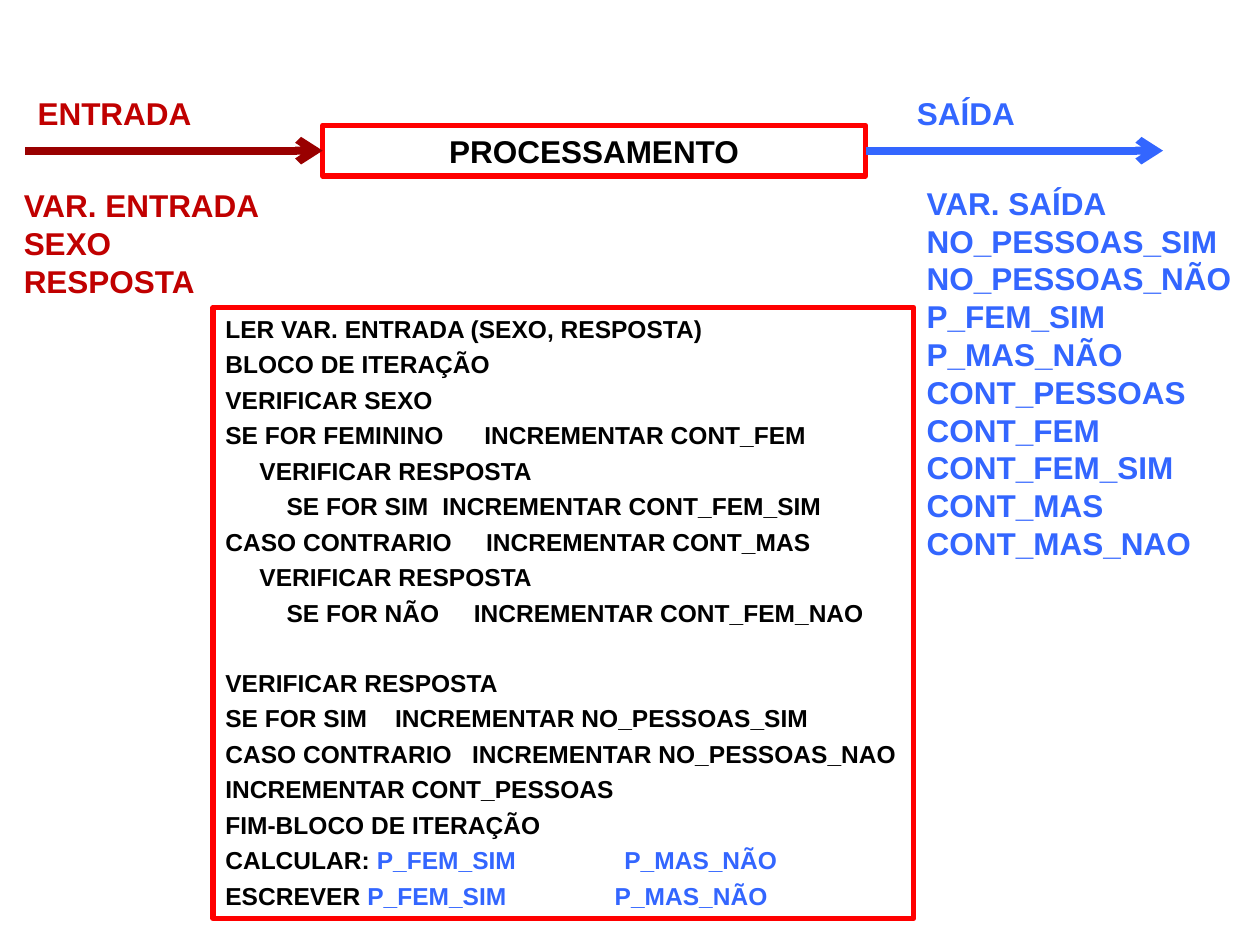
from lxml.etree import SubElement as Sub
from pptx import Presentation
from pptx.dml.color import RGBColor as Rgb
from pptx.enum.shapes import MSO_CONNECTOR as Link, MSO_SHAPE as Kind
from pptx.enum.text import MSO_ANCHOR as Anchor, PP_ALIGN as Align
from pptx.oxml.ns import qn
from pptx.util import Pt

HUES = {"ink": "000000", "edge": "FF0000", "dark": "990000",
        "in": "C00000", "out": "3366FF", "page": "FFFFFF"}

INPUTS = ["VAR. ENTRADA", "SEXO", "RESPOSTA"]
OUTPUTS = ["VAR. SAÍDA", "NO_PESSOAS_SIM", "NO_PESSOAS_NÃO", "P_FEM_SIM",
           "P_MAS_NÃO", "CONT_PESSOAS", "CONT_FEM", "CONT_FEM_SIM",
           "CONT_MAS", "CONT_MAS_NAO"]

RESULTS = ("P_FEM_SIM\tP_MAS_NÃO", "out")
GAP = 3.5
BREAK = 23.1
STEPS = [
    ("LER VAR. ENTRADA (SEXO, RESPOSTA)", [], GAP),
    ("BLOCO DE ITERAÇÃO", [], GAP),
    ("VERIFICAR SEXO", [], GAP),
    ("SE FOR FEMININO\tINCREMENTAR CONT_FEM", [148], GAP),
    ("\tVERIFICAR RESPOSTA", [19.5], GAP),
    ("\tSE FOR SIM\tINCREMENTAR CONT_FEM_SIM", [35, 124], GAP),
    ("CASO CONTRARIO\tINCREMENTAR CONT_MAS", [149], GAP),
    ("\tVERIFICAR RESPOSTA", [19.5], GAP),
    ("\tSE FOR NÃO\tINCREMENTAR CONT_FEM_NAO", [35, 142], GAP),
    ("VERIFICAR RESPOSTA", [], BREAK),
    ("SE FOR SIM\tINCREMENTAR NO_PESSOAS_SIM", [97], GAP),
    ("CASO CONTRARIO\tINCREMENTAR NO_PESSOAS_NAO", [141], GAP),
    ("INCREMENTAR CONT_PESSOAS", [], GAP),
    ("FIM-BLOCO DE ITERAÇÃO", [], GAP),
    ("CALCULAR: ", [228], GAP, RESULTS),
    ("ESCREVER ", [222.5], GAP, RESULTS),
]


def color(key):
    """Return the named colour."""
    return Rgb.from_string(HUES[key])


def write(para, text, size, hue):
    """Add one bold run to a paragraph."""
    run = para.add_run()
    run.text = text
    font = run.font
    font.name, font.size, font.bold = "Arial", Pt(size), True
    font.color.rgb = color(hue)


def lines(frame, count):
    """Yield the given number of paragraphs of a text frame."""
    for i in range(count):
        para = frame.add_paragraph() if i else frame.paragraphs[0]
        para.alignment = Align.LEFT
        yield para


def frame_box(slide, box, hue, width):
    """Add an unfilled rectangle with text at its top."""
    shape = slide.shapes.add_shape(Kind.RECTANGLE, *map(Pt, box))
    shape.shadow.inherit = False
    shape.fill.background()
    shape.line.color.rgb = color(hue)
    shape.line.width = Pt(width)
    shape.text_frame.vertical_anchor = Anchor.TOP
    shape.text_frame.word_wrap = True
    return shape


def title_box(slide, box, text, hue, edge, width, align=Align.LEFT):
    """Add a rectangle with a single heading."""
    shape = frame_box(slide, box, edge, width)
    para = shape.text_frame.paragraphs[0]
    para.alignment = align
    write(para, text, 18, hue)
    return shape


def name_list(slide, box, names, hue, wrap):
    """Add a text box with one variable name a line."""
    frame = slide.shapes.add_textbox(*map(Pt, box)).text_frame
    frame.word_wrap = wrap
    for para, name in zip(lines(frame, len(names)), names):
        write(para, name, 18, hue)


def set_tabs(para, stops):
    """Give a paragraph left tab stops, in points."""
    tabs = Sub(para._p.get_or_add_pPr(), qn("a:tabLst"))
    for stop in stops:
        Sub(tabs, qn("a:tab"), pos=str(int(Pt(stop))), algn="l")


def step_box(slide, box):
    """Add the framed list of processing steps."""
    frame = frame_box(slide, box, "edge", 3).text_frame
    for para, (text, stops, gap, *rest) in zip(lines(frame, len(STEPS)), STEPS):
        para.space_before = Pt(gap)
        if stops:
            set_tabs(para, stops)
        for part, hue in [(text, "ink"), *rest]:
            write(para, part, 14, hue)


def arrow(slide, start, end, y, hue):
    """Add a thick level arrow."""
    line = slide.shapes.add_connector(
        Link.STRAIGHT, Pt(start), Pt(y), Pt(end), Pt(y))
    line.line.color.rgb = color(hue)
    line.line.width = Pt(4.5)
    Sub(line.line._get_or_add_ln(), qn("a:tailEnd"), type="arrow")
    Sub(line._element.spPr, qn("a:effectLst"))
    return line


def flow(slide, box):
    """Add the process box with its input and output arrows."""
    left, top, width, height = box
    mid, right, reach = top + height / 2, left + width, 170
    core = title_box(slide, box, "PROCESSAMENTO", "ink", "edge", 3,
                     Align.CENTER)
    arrow(slide, left - reach, left, mid, "dark").end_connect(core, 1)
    arrow(slide, right, right + reach, mid, "out").begin_connect(core, 3)
    for x, text, hue in [(left - reach, "ENTRADA", "in"),
                         (right + 22.3, "SAÍDA", "out")]:
        title_box(slide, (x, top - 21.2, 124.5, height), text, hue, "page", 0.75)


def main():
    """Build and save the slide."""
    deck = Presentation()
    deck.slide_width, deck.slide_height = Pt(720), Pt(540)
    slide = deck.slides.add_slide(deck.slide_layouts[6])
    step_box(slide, (121.7, 175.7, 400.5, 349.2))
    flow(slide, (184.4, 71.6, 310.2, 29))
    name_list(slide, (6.5, 103, 150.5, 72.7), INPUTS, "in", False)
    name_list(slide, (522.5, 101.5, 196.5, 225.4), OUTPUTS, "out", True)
    deck.save("out.pptx")


if __name__ == "__main__":
    main()
